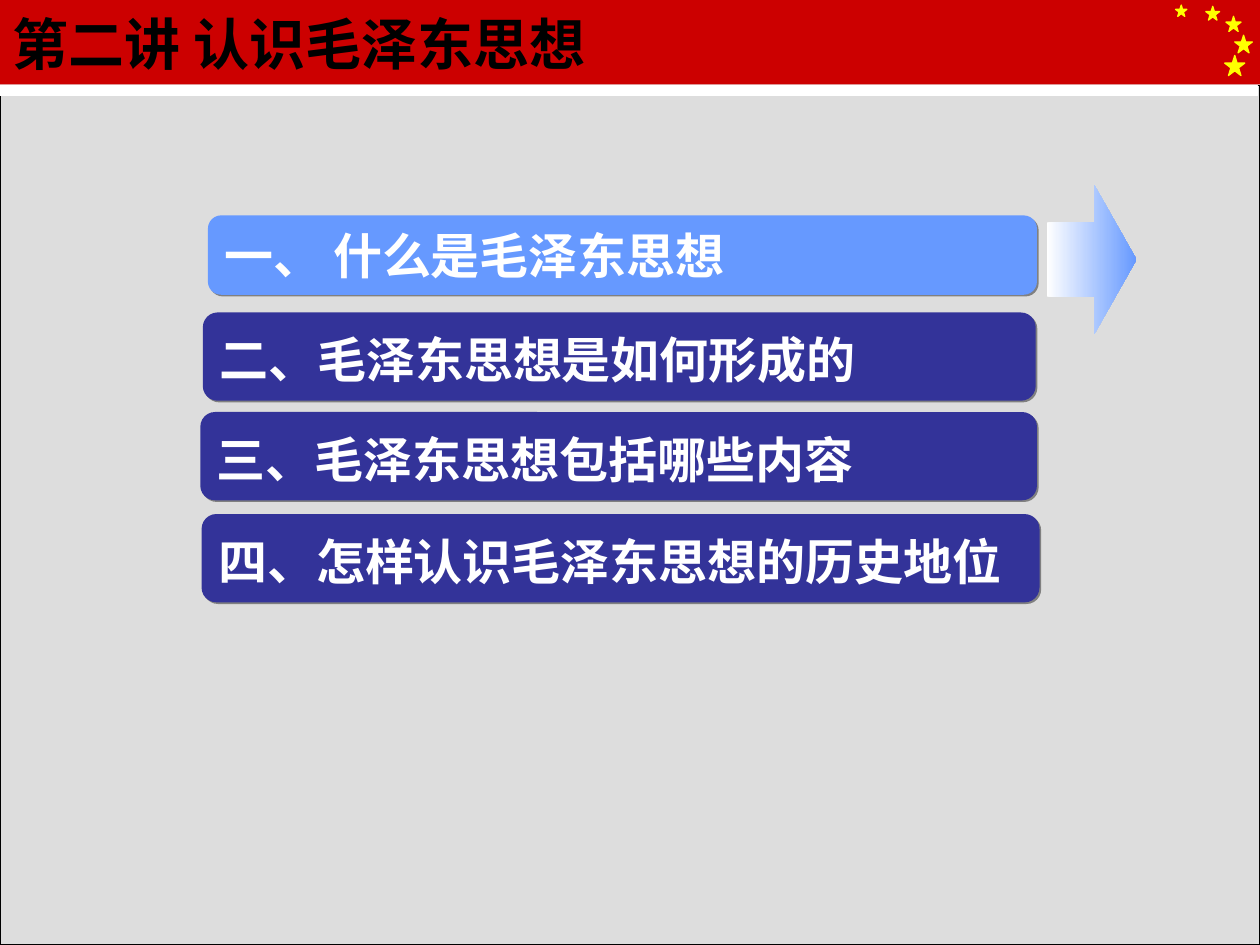
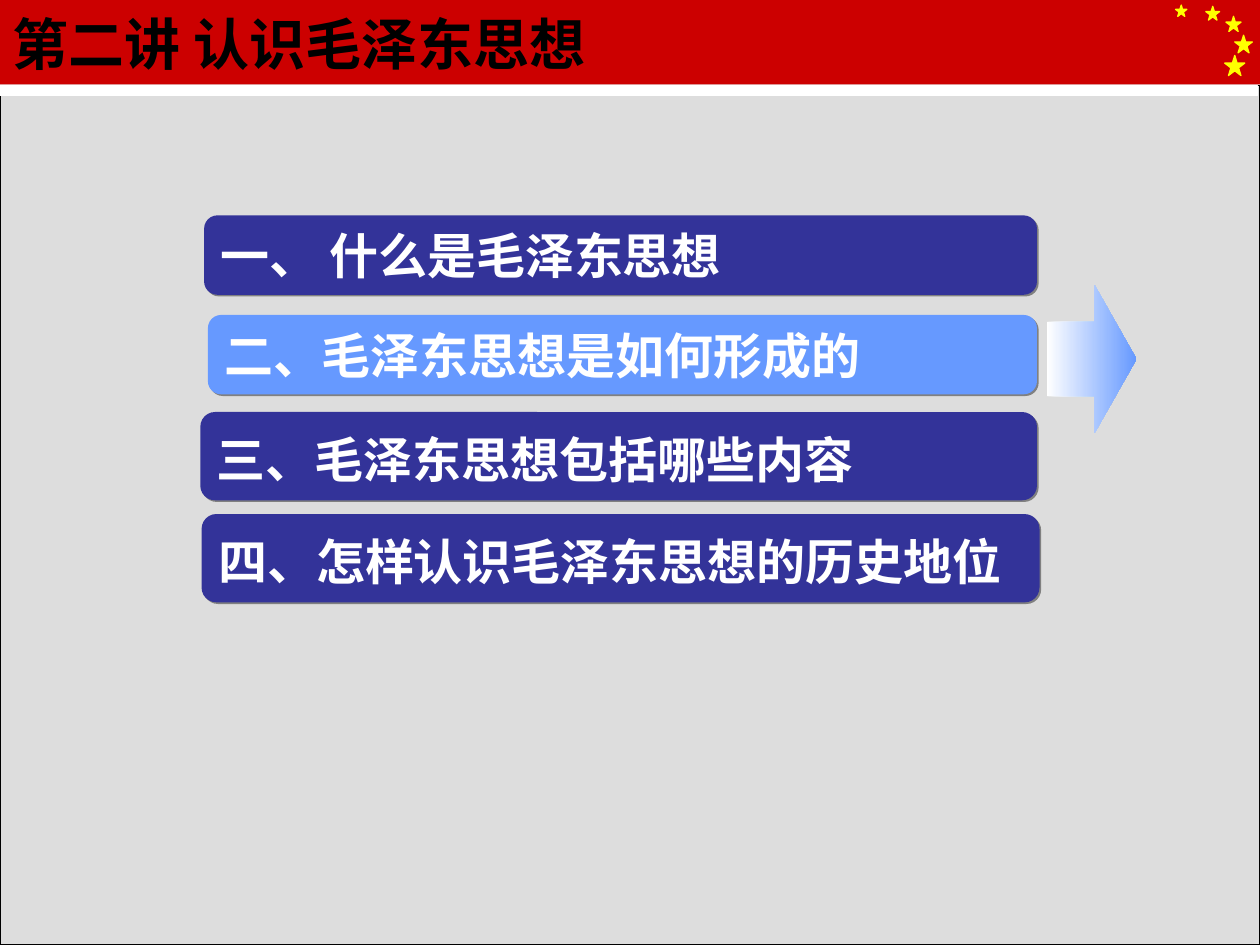
"""Build two agenda slides that highlight successive parts of a lecture."""

from typing import NamedTuple

from lxml import etree
from pptx import Presentation
from pptx.dml.color import RGBColor
from pptx.enum.shapes import MSO_SHAPE
from pptx.enum.text import MSO_ANCHOR, MSO_AUTO_SIZE, PP_ALIGN
from pptx.oxml.ns import qn
from pptx.util import Emu, Pt

RECTANGLE = MSO_SHAPE.RECTANGLE
ROUNDED = MSO_SHAPE.ROUNDED_RECTANGLE
STAR = MSO_SHAPE.STAR_5_POINT
RIGHT_ARROW = MSO_SHAPE.RIGHT_ARROW
MIDDLE = MSO_ANCHOR.MIDDLE
LEFT = PP_ALIGN.LEFT
FIT_SHAPE = MSO_AUTO_SIZE.SHAPE_TO_FIT_TEXT
NO_FIT = MSO_AUTO_SIZE.NONE

BLACK = RGBColor(0x00, 0x00, 0x00)
WHITE = RGBColor(0xFF, 0xFF, 0xFF)
BACKGROUND = RGBColor(0xEA, 0xEA, 0xEA)
PANEL_GREY = RGBColor(0xDD, 0xDD, 0xDD)
BAND_RED = RGBColor(0xCC, 0x00, 0x00)
STAR_YELLOW = RGBColor(0xFF, 0xFF, 0x00)
ACTIVE_BLUE = RGBColor(0x66, 0x99, 0xFF)
IDLE_BLUE = RGBColor(0x33, 0x33, 0x99)
SHADOW_GREY = RGBColor(0x80, 0x80, 0x80)

EMU_PER_PX = 9144
TITLE_FONT = "Noto Sans CJK SC"
BAR_FONT = "Times New Roman"
TITLE = "第二讲 认识毛泽东思想"
TITLE_ONLY_LAYOUT = 5
FIRST_FRAME_ID = 100


class Box(NamedTuple):
    left: int
    top: int
    width: int
    height: int

    def emu(self) -> list[Emu]:
        return [Emu(length * EMU_PER_PX) for length in self]


class FramePart(NamedTuple):
    kind: int
    box: Box
    fill: RGBColor
    line: RGBColor | None = None


class Topic(NamedTuple):
    text: str
    idle_box: Box
    tall_space: bool = True


STAR_BOXES = [
    Box(972, 44, 16, 16),
    Box(957, 5, 11, 11),
    Box(933, 4, 9, 9),
    Box(973, 13, 12, 12),
    Box(980, 28, 14, 14),
]
FRAME = [
    FramePart(RECTANGLE, Box(0, 0, 1000, 67), BAND_RED),
    *(FramePart(STAR, box, STAR_YELLOW, STAR_YELLOW) for box in STAR_BOXES),
    FramePart(RECTANGLE, Box(0, 68, 1000, 682), PANEL_GREY, BLACK),
    FramePart(RECTANGLE, Box(0, 68, 998, 8), WHITE, WHITE),
]
TOPICS = [
    Topic("一、 什么是毛泽东思想", Box(162, 171, 661, 63), tall_space=False),
    Topic("二、毛泽东思想是如何形成的", Box(161, 248, 661, 70)),
    Topic("三、毛泽东思想包括哪些内容", Box(159, 327, 664, 70)),
    Topic("四、怎样认识毛泽东思想的历史地位", Box(160, 408, 665, 70)),
]
TITLE_BOX = Box(0, 0, 750, 68)
ACTIVE_BOX = Box(165, 171, 658, 63)
ARROW_BOX = Box(831, 147, 71, 118)
ROW_PITCH = 79


def add_plain_shape(slide, kind: int, box: Box, fill=None, line=None):
    shape = slide.shapes.add_shape(kind, *box.emu())
    shape.shadow.inherit = False
    if fill is not None:
        shape.fill.solid()
        shape.fill.fore_color.rgb = fill
    if line is None:
        shape.line.fill.background()
    else:
        shape.line.color.rgb = line
        shape.line.width = Pt(0.75)
    return shape


def format_run(run, size: int, latin_font: str, color: RGBColor) -> None:
    run.font.size = Pt(size)
    run.font.bold = True
    run.font.name = latin_font
    run.font.color.rgb = color
    east_asian = etree.Element(qn("a:ea"), typeface=TITLE_FONT)
    run.font._element.find(qn("a:latin")).addnext(east_asian)


def add_hard_shadow(shape) -> None:
    effects = shape.element.spPr.find(qn("a:effectLst"))
    shadow = etree.SubElement(
        effects, qn("a:outerShdw"), blurRad="0", dist=str(Pt(1.4)),
        dir="2700000", algn="ctr", rotWithShape="0",
    )
    etree.SubElement(shadow, qn("a:srgbClr"), val=str(SHADOW_GREY))


def move_frame_to_layout(slide, layout) -> None:
    for index, part in enumerate(FRAME):
        element = add_plain_shape(slide, *part).element
        element.nvSpPr.cNvPr.set("id", str(FIRST_FRAME_ID + index))
        layout.shapes.element.insert(2 + index, element)


def set_title(slide) -> None:
    title = slide.shapes.title
    title.left, title.top, title.width, title.height = TITLE_BOX.emu()
    frame = title.text_frame
    frame.text = TITLE
    frame.vertical_anchor = MIDDLE
    frame.auto_size = NO_FIT
    paragraph = frame.paragraphs[0]
    paragraph.alignment = LEFT
    format_run(paragraph.runs[0], 32, TITLE_FONT, BLACK)


def add_arrow(slide, row: int) -> None:
    box = ARROW_BOX._replace(top=ARROW_BOX.top + row * ROW_PITCH)
    arrow = add_plain_shape(slide, RIGHT_ARROW, box)
    arrow.adjustments[0] = 0.5
    arrow.adjustments[1] = 0.47
    arrow.fill.gradient()
    arrow.fill.gradient_angle = 0
    for stop, color in zip(arrow.fill.gradient_stops, (WHITE, ACTIVE_BLUE)):
        stop.color.rgb = color


def add_topic_bar(slide, topic: Topic, row: int, active: bool) -> None:
    active_box = ACTIVE_BOX._replace(top=ACTIVE_BOX.top + row * ROW_PITCH)
    box = active_box if active else topic.idle_box
    bar = add_plain_shape(slide, ROUNDED, box, ACTIVE_BLUE if active else IDLE_BLUE)
    add_hard_shadow(bar)
    frame = bar.text_frame
    frame.text = topic.text
    frame.vertical_anchor = MIDDLE
    frame.auto_size = FIT_SHAPE
    paragraph = frame.paragraphs[0]
    paragraph.alignment = LEFT
    format_run(paragraph.runs[0], 28, BAR_FONT, WHITE)
    if topic.tall_space and not active:
        space = paragraph.add_run()
        space.text = " "
        format_run(space, 32, BAR_FONT, WHITE)


def main() -> None:
    presentation = Presentation()
    presentation.slide_width, presentation.slide_height = Box(0, 0, 1000, 750).emu()[2:]
    background = presentation.slide_master.background.fill
    background.solid()
    background.fore_color.rgb = BACKGROUND
    layout = presentation.slide_layouts[TITLE_ONLY_LAYOUT]
    for active_row in range(2):
        slide = presentation.slides.add_slide(layout)
        if active_row == 0:
            move_frame_to_layout(slide, layout)
        set_title(slide)
        add_arrow(slide, active_row)
        for row, topic in enumerate(TOPICS):
            add_topic_bar(slide, topic, row, row == active_row)
    presentation.save("out.pptx")


if __name__ == "__main__":
    main()
